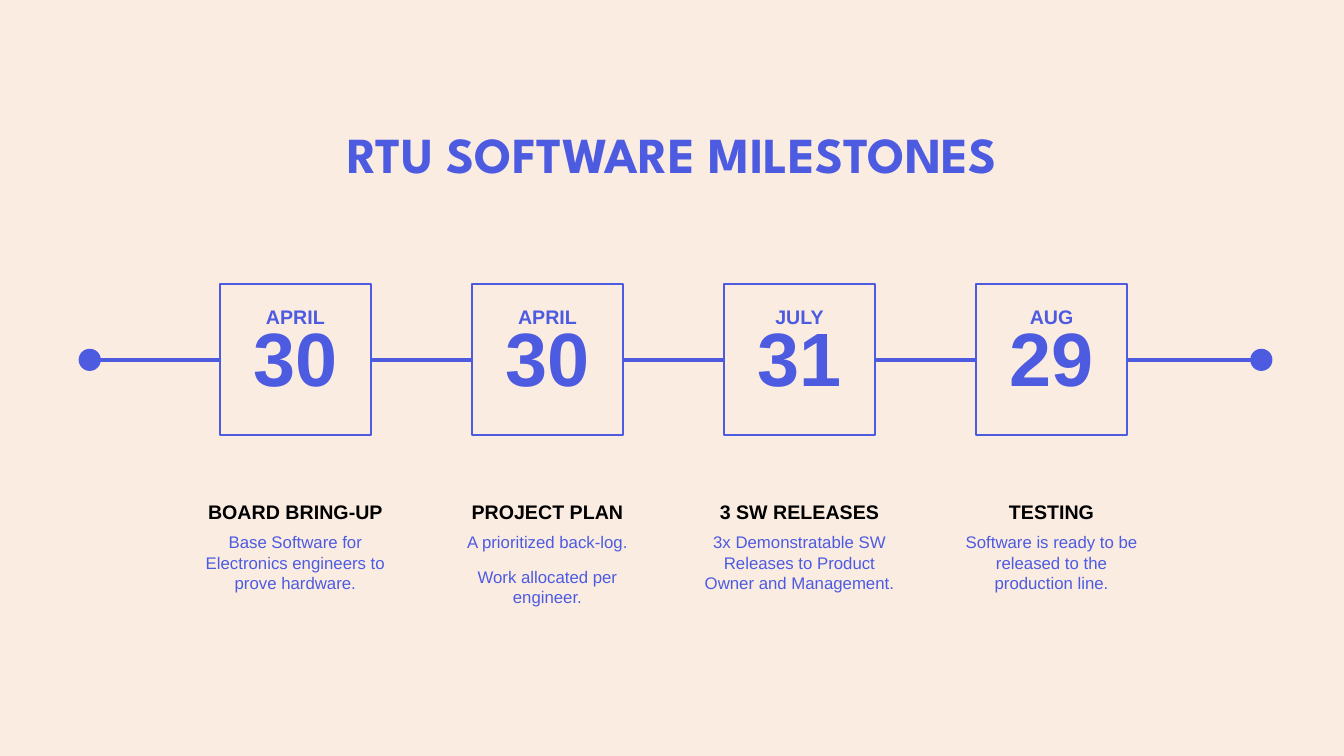
from pptx import Presentation
from pptx.dml.color import RGBColor
from pptx.enum.shapes import MSO_CONNECTOR, MSO_SHAPE
from pptx.enum.text import MSO_ANCHOR, PP_ALIGN
from pptx.oxml.ns import qn
from pptx.util import Inches, Pt
from lxml.etree import SubElement

TITLE = "RTU SOFTWARE MILESTONES"
MILESTONES = [
    ("APRIL", "30", "BOARD BRING-UP",
     ["Base Software for Electronics engineers to prove hardware."], 2),
    ("APRIL", "30", "PROJECT PLAN",
     ["A prioritized back-log.", "Work allocated per engineer."], 2),
    ("JULY", "31", "3 SW RELEASES",
     ["3x Demonstratable SW Releases to Product Owner and Management."], 2.21),
    ("AUG", "29", "TESTING",
     ["Software is ready to be released to the production line."], 2),
]
COLOURS = {"blue": "4D5BE1", "cream": "FAECE1", "black": "000000"}

WIDTH, HEIGHT = 13.33, 7.5
MARGIN = 0.87
AXIS = 3.57
FIRST_CENTRE, STEP = 2.93, 2.5
SQUARE, DOT = 1.5, 0.22


def colour(name):
    return RGBColor.from_string(COLOURS[name])


def box_at(centre, top, width, height):
    return [Inches(v) for v in (centre - width / 2, top, width, height)]


def write(frame, lines, size, ink="blue", bold=True, spacing=0.9, before=10, font="Arial"):
    frame.word_wrap = True
    for index, line in enumerate(lines):
        para = frame.paragraphs[0] if index == 0 else frame.add_paragraph()
        para.text = line
        para.alignment = PP_ALIGN.CENTER
        para.line_spacing = spacing
        para.space_before = Pt(before)
        para.font.name = font
        para.font.size = Pt(size)
        para.font.bold = bold
        para.font.color.rgb = colour(ink)


def add_filled(page, kind, box, fill):
    shape = page.shapes.add_shape(kind, *box)
    shape.shadow.inherit = False
    shape.fill.solid()
    shape.fill.fore_color.rgb = colour(fill)
    return shape


def add_text(page, box, lines, size, **style):
    write(page.shapes.add_textbox(*box).text_frame, lines, size, **style)


def add_axis(page):
    line = page.shapes.add_connector(
        MSO_CONNECTOR.STRAIGHT, Inches(MARGIN), Inches(AXIS),
        Inches(WIDTH - MARGIN), Inches(AXIS))
    line.line.color.rgb = colour("blue")
    line.line.width = Pt(3.25)
    SubElement(line._element.spPr, qn("a:effectLst"))
    for centre in (MARGIN + 0.02, WIDTH - MARGIN + 0.05):
        dot = add_filled(page, MSO_SHAPE.OVAL,
                         box_at(centre, AXIS - DOT / 2, DOT, DOT), "blue")
        dot.line.fill.background()


def add_milestone(page, centre, month, day, heading, details, width):
    square = add_filled(page, MSO_SHAPE.RECTANGLE,
                        box_at(centre, AXIS - SQUARE / 2, SQUARE, SQUARE), "cream")
    square.line.color.rgb = colour("blue")
    square.line.width = Pt(1.5)
    frame = square.text_frame
    frame.margin_left = frame.margin_right = 0
    frame.margin_top, frame.margin_bottom = Inches(0.1), Inches(0.05)
    frame.vertical_anchor = MSO_ANCHOR.MIDDLE
    write(frame, [day], 54)
    add_text(page, box_at(centre, 3, 0.82, 0.33), [month], 14)
    add_text(page, box_at(centre, 4.94, 2, 0.31), [heading], 14, ink="black")
    add_text(page, box_at(centre, 5.23, width, 0.67), details, 12, bold=False, spacing=1.0)


def main():
    deck = Presentation()
    deck.slide_width, deck.slide_height = Inches(WIDTH), Inches(HEIGHT)
    page = deck.slides.add_slide(deck.slide_layouts[5])
    page.background.fill.solid()
    page.background.fill.fore_color.rgb = colour("cream")

    title = page.shapes.title
    title.left, title.top, title.width, title.height = box_at(
        WIDTH / 2, 1.17, WIDTH - 2 * MARGIN, 0.78)
    title.text_frame.vertical_anchor = MSO_ANCHOR.MIDDLE
    write(title.text_frame, [TITLE], 36, before=0, font="League Spartan")

    add_axis(page)
    for index, milestone in enumerate(MILESTONES):
        add_milestone(page, FIRST_CENTRE + index * STEP, *milestone)
    deck.save("out.pptx")


if __name__ == "__main__":
    main()
